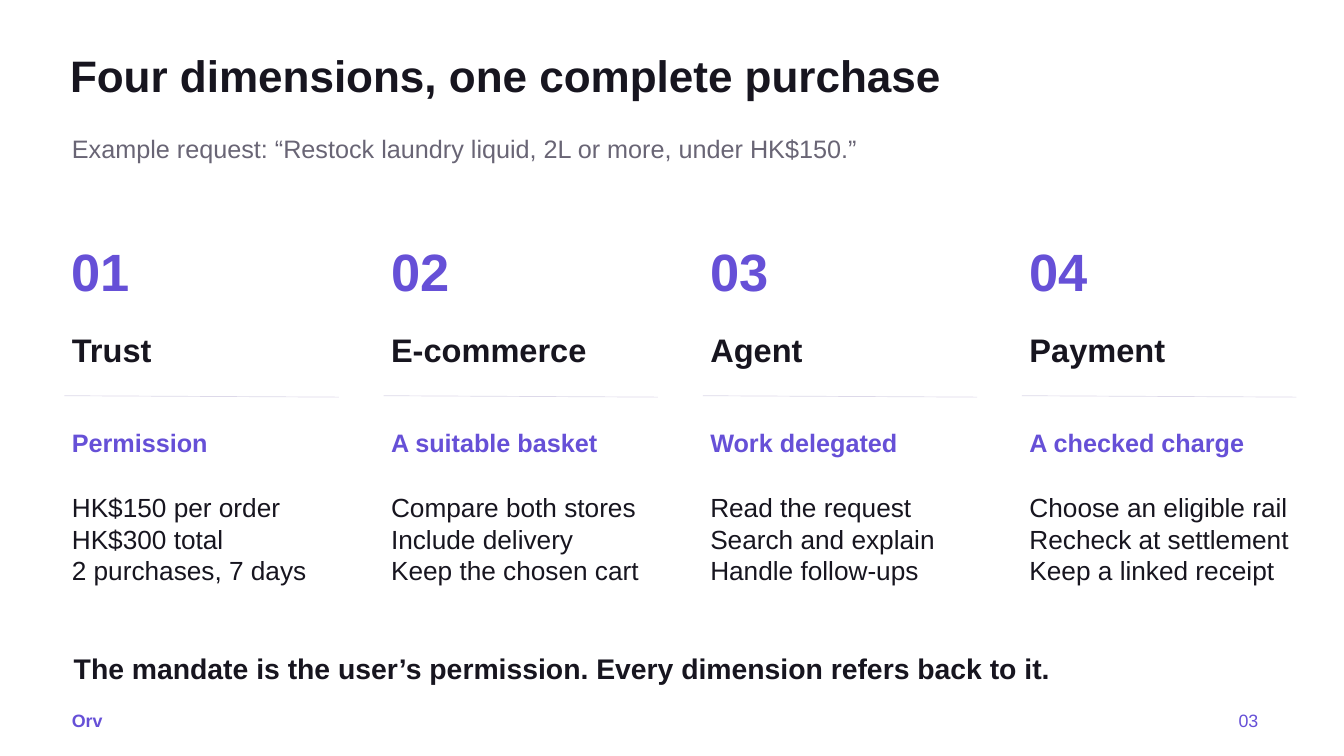
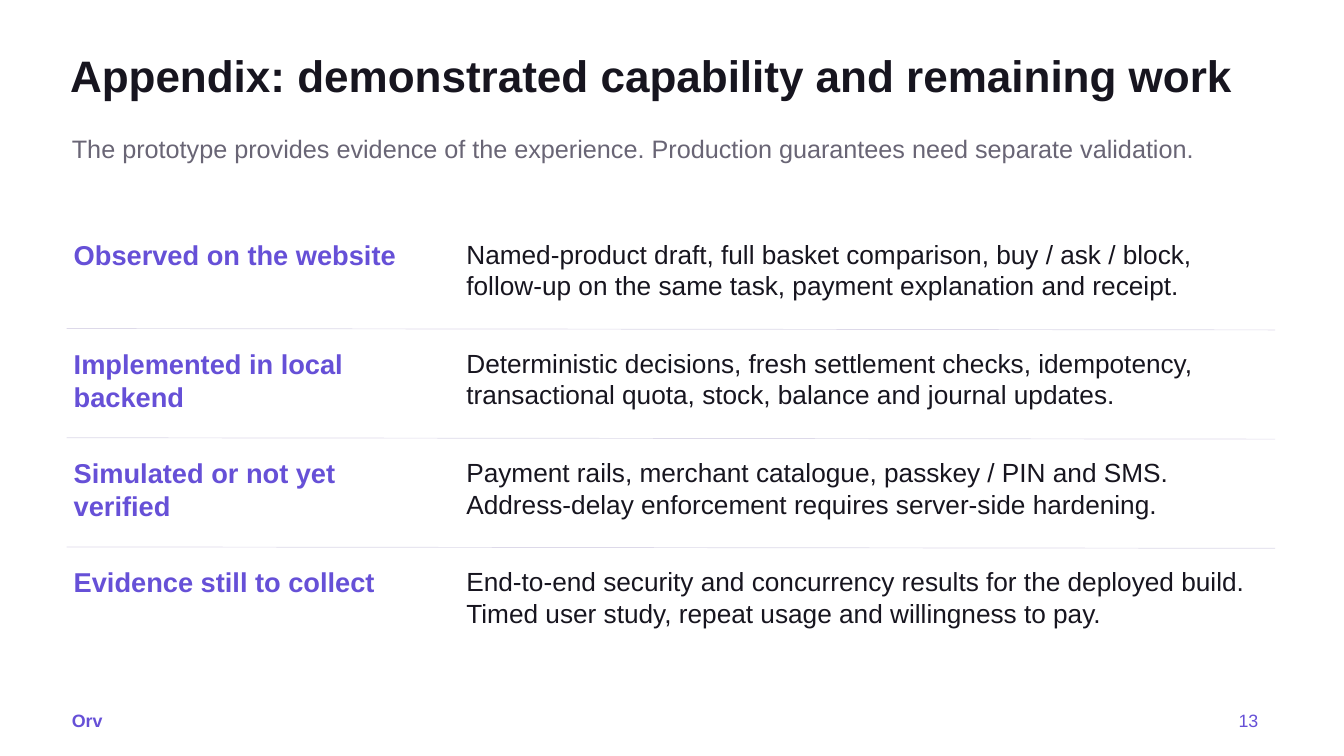
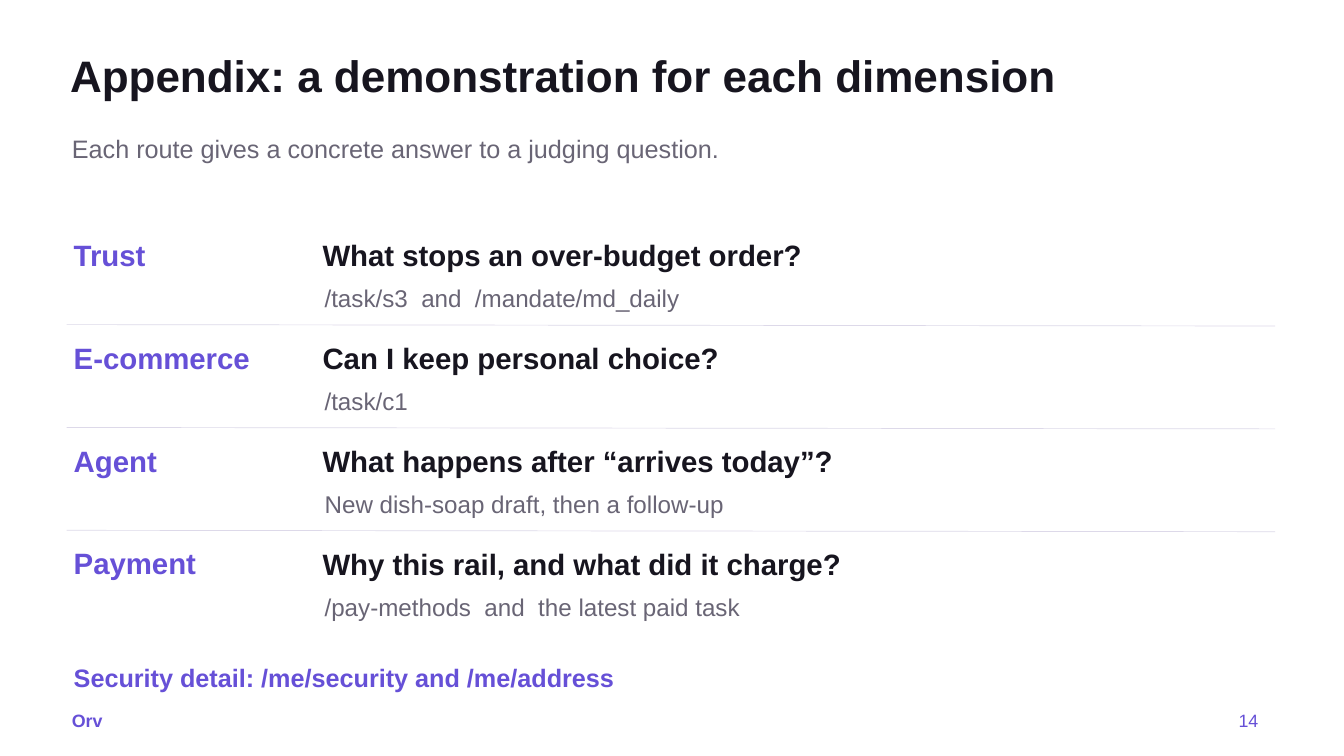
import dataclasses

import lxml.etree
import pptx
import pptx.dml.color
import pptx.enum.shapes
import pptx.enum.text
import pptx.oxml.ns
import pptx.util

Pt = pptx.util.Pt


@dataclasses.dataclass(frozen=True)
class Style:
    size: float
    color: str
    bold: bool = False


@dataclasses.dataclass(frozen=True)
class Theme:
    font = "Arial"
    ink = "17151F"
    muted = "696575"
    accent = "6650D7"
    hairline = "DDD9E9"
    leading = 1.2
    rule_width = 0.75
    rule_drop = 1.5
    title = Style(47.2, ink, True)
    subtitle = Style(27, muted)
    footer = Style(19.1, accent, True)
    page = Style(19.1, accent)
    numeral = Style(56.2, accent, True)
    heading = Style(34.9, ink, True)
    label = Style(27, accent, True)
    body = Style(28.1, ink)
    closing = Style(30.4, ink, True)
    status = Style(29.2, accent, True)
    dimension = Style(31.5, accent, True)
    question = Style(31.5, ink, True)
    route = Style(25.9, muted)


THEME = Theme()
BRAND = "Orv"

DIMENSIONS = [
    ("Trust", "Permission",
     ["HK$150 per order", "HK$300 total", "2 purchases, 7 days"]),
    ("E-commerce", "A suitable basket",
     ["Compare both stores", "Include delivery", "Keep the chosen cart"]),
    ("Agent", "Work delegated",
     ["Read the request", "Search and explain", "Handle follow-ups"]),
    ("Payment", "A checked charge",
     ["Choose an eligible rail", "Recheck at settlement", "Keep a linked receipt"]),
]

CAPABILITIES = [
    ("Observed on the website",
     ["Named-product draft, full basket comparison, buy / ask / block,",
      "follow-up on the same task, payment explanation and receipt."]),
    ("Implemented in local backend",
     ["Deterministic decisions, fresh settlement checks, idempotency,",
      "transactional quota, stock, balance and journal updates."]),
    ("Simulated or not yet verified",
     ["Payment rails, merchant catalogue, passkey / PIN and SMS.",
      "Address-delay enforcement requires server-side hardening."]),
    ("Evidence still to collect",
     ["End-to-end security and concurrency results for the deployed build.",
      "Timed user study, repeat usage and willingness to pay."]),
]

DEMONSTRATIONS = [
    ("Trust", "What stops an over-budget order?",
     "/task/s3  and  /mandate/md_daily"),
    ("E-commerce", "Can I keep personal choice?", "/task/c1"),
    ("Agent", "What happens after “arrives today”?",
     "New dish-soap draft, then a follow-up"),
    ("Payment", "Why this rail, and what did it charge?",
     "/pay-methods  and  the latest paid task"),
]


def set_attributes(target, values):
    for name, value in values.items():
        setattr(target, name, value)


def fill_text(shape, lines, style):
    frame = shape.text_frame
    set_attributes(frame, {
        "margin_left": 0, "margin_top": 0, "margin_right": 0, "margin_bottom": 0,
        "word_wrap": True,
        "vertical_anchor": pptx.enum.text.MSO_ANCHOR.TOP,
        "auto_size": pptx.enum.text.MSO_AUTO_SIZE.SHAPE_TO_FIT_TEXT,
    })
    for index, line in enumerate(lines):
        paragraph = frame.add_paragraph() if index else frame.paragraphs[0]
        if shape.is_placeholder:
            properties = paragraph._p.get_or_add_pPr()
            properties.set("marL", "0")
            properties.set("indent", "0")
            lxml.etree.SubElement(properties, pptx.oxml.ns.qn("a:buNone"))
        set_attributes(paragraph, {
            "alignment": pptx.enum.text.PP_ALIGN.LEFT,
            "line_spacing": Pt(round(style.size * THEME.leading, 1)),
            "space_before": Pt(0),
        })
        run = paragraph.add_run()
        run.text = line
        set_attributes(run.font, {
            "name": THEME.font, "size": Pt(style.size), "bold": style.bold})
        run.font.color.rgb = pptx.dml.color.RGBColor.from_string(style.color)


def add_text(slide, lines, style, left, top, width, height):
    shape = slide.shapes.add_textbox(Pt(left), Pt(top), Pt(width), Pt(height))
    fill_text(shape, lines, style)


def fill_placeholder(shape, line, style, left, top, width, height):
    set_attributes(shape, {"left": Pt(left), "top": Pt(top),
                           "width": Pt(width), "height": Pt(height)})
    fill_text(shape, [line], style)


def add_rule(slide, left, top, width):
    rule = slide.shapes.add_connector(
        pptx.enum.shapes.MSO_CONNECTOR.STRAIGHT,
        Pt(left), Pt(top), Pt(left + width), Pt(top + THEME.rule_drop))
    rule.line.width = Pt(THEME.rule_width)
    rule.line.color.rgb = pptx.dml.color.RGBColor.from_string(THEME.hairline)
    lxml.etree.SubElement(rule._element.spPr, pptx.oxml.ns.qn("a:effectLst"))


def add_page(presentation, title, subtitle, number):
    slide = presentation.slides.add_slide(presentation.slide_layouts[1])
    fill_placeholder(slide.shapes.title, title, THEME.title, 75, 52, 1291, 64)
    fill_placeholder(slide.placeholders[1], subtitle, THEME.subtitle,
                     77, 142.5, 1286, 68)
    add_text(slide, [BRAND], THEME.footer, 77, 760, 81, 23)
    add_text(slide, [number], THEME.page, 1327, 760, 38, 23)
    return slide


def add_dimension_columns(slide):
    for index, (name, outcome, steps) in enumerate(DIMENSIONS):
        left = 77 + 342 * index
        add_text(slide, [f"{index + 1:02d}"], THEME.numeral, left, 256, 222, 72)
        add_text(slide, [name], THEME.heading, left, 354, 298, 48)
        add_rule(slide, left - 8, 424, 294)
        add_text(slide, [outcome], THEME.label, left, 458, 298, 42)
        add_text(slide, steps, THEME.body, left, 526.5, 295, 153)


def add_row_rules(slide, first, step, count):
    for index in range(count):
        add_rule(slide, 71.3, first + step * index, 1295)


def add_capability_rows(slide):
    top, step = 255, 117
    for index, (status, evidence) in enumerate(CAPABILITIES):
        row = top + step * index
        add_text(slide, [status], THEME.status, 79, row, 376, 68)
        add_text(slide, evidence, THEME.body, 499.7, row, 860, 90)
    add_row_rules(slide, top + 97, step, len(CAPABILITIES) - 1)


def add_demonstration_rows(slide):
    top, step = 254, 110.2
    for index, (dimension, question, route) in enumerate(DEMONSTRATIONS):
        row = top + step * index
        add_text(slide, [dimension], THEME.dimension, 79, row, 239, 52)
        add_text(slide, [question], THEME.question, 345.6, row, 1004, 48)
        add_text(slide, [route], THEME.route, 347.8, row + 49.8, 1000, 44)
    add_row_rules(slide, top + 93.8, step, len(DEMONSTRATIONS) - 1)


def main():
    presentation = pptx.Presentation()
    set_attributes(presentation, {"slide_width": Pt(1440), "slide_height": Pt(810)})

    slide = add_page(presentation, "Four dimensions, one complete purchase",
                     "Example request: “Restock laundry liquid, 2L or more, under HK$150.”",
                     "03")
    add_dimension_columns(slide)
    add_text(slide,
             ["The mandate is the user’s permission. Every dimension refers back to it."],
             THEME.closing, 79, 698, 1277, 42)

    slide = add_page(presentation, "Appendix: demonstrated capability and remaining work",
                     "The prototype provides evidence of the experience. "
                     "Production guarantees need separate validation.", "13")
    add_capability_rows(slide)

    slide = add_page(presentation, "Appendix: a demonstration for each dimension",
                     "Each route gives a concrete answer to a judging question.", "14")
    add_demonstration_rows(slide)
    add_text(slide, ["Security detail: /me/security and /me/address"],
             THEME.label, 79, 710, 1282, 35)

    presentation.save("out.pptx")


if __name__ == "__main__":
    main()
